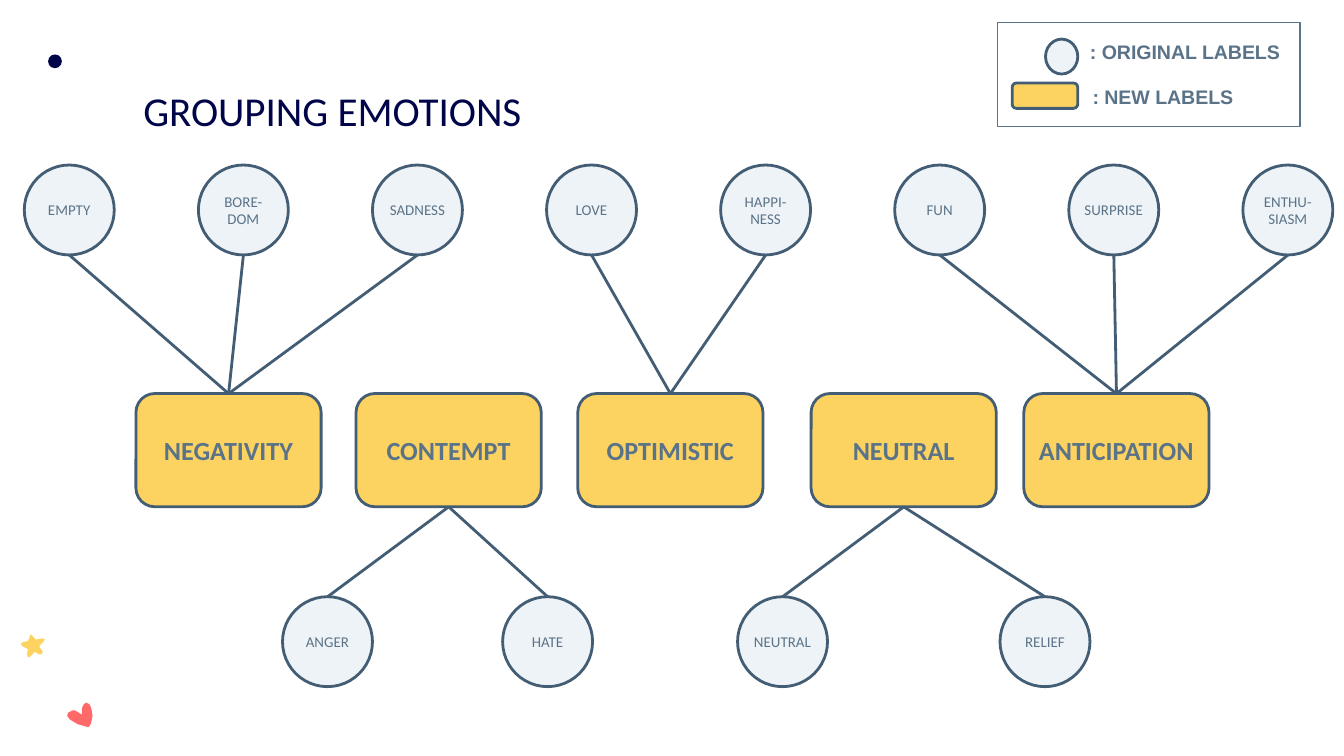
from lxml import etree
from pptx import Presentation
from pptx.dml.color import RGBColor
from pptx.enum.shapes import MSO_CONNECTOR, MSO_SHAPE
from pptx.enum.text import MSO_ANCHOR, PP_ALIGN
from pptx.oxml.ns import qn
from pptx.util import Cm, Pt

OVAL = MSO_SHAPE.OVAL
ROUNDED = MSO_SHAPE.ROUNDED_RECTANGLE
RECTANGLE = MSO_SHAPE.RECTANGLE
STRAIGHT = MSO_CONNECTOR.STRAIGHT
MIDDLE = MSO_ANCHOR.MIDDLE
LEFT, CENTER = PP_ALIGN.LEFT, PP_ALIGN.CENTER
TOP_SITE, BOTTOM_SITE = 0, 2

COLORS = {
    "navy": "000549", "outline": "435D74", "text": "5A7388",
    "pale": "EEF3F7", "yellow": "FCD260", "red": "FF6969",
}
CIRCLE = 1.7
GROUP_WIDTH, GROUP_HEIGHT = 3.5, 2.14
UPPER_TOP, GROUP_TOP, LOWER_TOP = 3.12, 7.44, 11.28
UPPER_LEFT, UPPER_PITCH = 0.46, 3.29

UPPER_LABELS = ["EMPTY", "BORE-DOM", "SADNESS", "LOVE", "HAPPI-NESS",
                "FUN", "SURPRISE", "ENTHU-SIASM"]
UPPER_EMOTIONS = [(label, UPPER_LEFT + UPPER_PITCH * index)
                  for index, label in enumerate(UPPER_LABELS)]
GROUPS = [
    ("NEGATIVITY", 2.57, UPPER_EMOTIONS[:3], []),
    ("CONTEMPT", 6.73, [], [("ANGER", 5.34), ("HATE", 9.5)]),
    ("OPTIMISTIC", 10.92, UPPER_EMOTIONS[3:5], []),
    ("NEUTRAL", 15.33, [], [("NEUTRAL", 13.94), ("RELIEF", 18.9)]),
    ("ANTICIPATION", 19.35, UPPER_EMOTIONS[5:], []),
]

HEART = [(36, 0), (31, 4), (28, 11), (28, 23), (15, 15), (10, 15), (2, 19),
         (0, 25), (5, 32), (20, 41), (38, 46), (41, 46), (45, 40), (48, 25),
         (46, 13), (43, 4)]
STAR = [(20, 0), (18, 5), (15, 13), (5, 15), (1, 19), (5, 23), (15, 28),
        (13, 38), (15, 43), (18, 43), (23, 38), (28, 33), (36, 38), (41, 38),
        (43, 33), (36, 23), (43, 15), (47, 10), (43, 8), (41, 8), (30, 10),
        (25, 5)]


def color(name):
    return RGBColor.from_string(COLORS[name])


def style_shape(shape, fill=None, line=None, width=1.5):
    shape.shadow.inherit = False
    if fill:
        shape.fill.solid()
        shape.fill.fore_color.rgb = color(fill)
    else:
        shape.fill.background()
    if line:
        shape.line.color.rgb = color(line)
        shape.line.width = Pt(width)
    else:
        shape.line.fill.background()


def write_text(shape, text, size, font="Calibri", bold=False, ink="text",
               align=CENTER, inset=0.25):
    frame = shape.text_frame
    frame.word_wrap = True
    frame.vertical_anchor = MIDDLE
    frame.margin_left = frame.margin_right = Cm(inset)
    frame.margin_top = frame.margin_bottom = Cm(inset / 2)
    paragraph = frame.paragraphs[0]
    paragraph.text = text
    paragraph.alignment = align
    paragraph.font.size = Pt(size)
    paragraph.font.name = font
    paragraph.font.bold = bold
    paragraph.font.color.rgb = color(ink)


def add_box(slide, kind, left, top, width, height, fill=None, line="outline",
            line_width=1.5):
    shape = slide.shapes.add_shape(kind, Cm(left), Cm(top), Cm(width), Cm(height))
    style_shape(shape, fill, line, line_width)
    return shape


def add_emotion(slide, label, left, top):
    circle = add_box(slide, OVAL, left, top, CIRCLE, CIRCLE, "pale")
    write_text(circle, label, 8, inset=0)
    return circle


def add_link(slide, group, site, circle):
    x = circle.left + circle.width // 2
    y = circle.top if site == BOTTOM_SITE else circle.top + circle.height
    link = slide.shapes.add_connector(STRAIGHT, x, y, x, y)
    link.begin_connect(group, site)
    link.line.color.rgb = color("outline")
    link.line.width = Pt(1.5)
    etree.SubElement(link._element.spPr, qn("a:effectLst"))


def add_group(slide, label, left, upper, lower):
    group = add_box(slide, ROUNDED, left, GROUP_TOP, GROUP_WIDTH, GROUP_HEIGHT, "yellow")
    write_text(group, label, 14, bold=True, inset=0.1)
    for emotions, top, site in ((upper, UPPER_TOP, TOP_SITE),
                                (lower, LOWER_TOP, BOTTOM_SITE)):
        for emotion, emotion_left in emotions:
            circle = add_emotion(slide, emotion, emotion_left, top)
            add_link(slide, group, site, circle)


def add_title(slide, left, top, width, height):
    title = slide.shapes.title
    title.left, title.top = Cm(left), Cm(top)
    title.width, title.height = Cm(width), Cm(height)
    write_text(title, "GROUPING EMOTIONS", 22, ink="navy", align=LEFT)


def add_legend(slide, left, top, width, height):
    add_box(slide, OVAL, left + 0.91, top + 0.31, 0.61, 0.66, "pale")
    add_box(slide, ROUNDED, left + 0.28, top + 1.14, 1.24, 0.48, "yellow")
    for text, x, y, text_width in ((": ORIGINAL LABELS", 1.5, 0.18, 4.83),
                                   (": NEW LABELS", 1.55, 1.03, 3.96)):
        label = slide.shapes.add_textbox(Cm(left + x), Cm(top + y),
                                         Cm(text_width), Cm(0.72))
        write_text(label, text, 10.5, "Arial", True, align=LEFT)
    add_box(slide, RECTANGLE, left, top, width, height, None, "text", 0.75)


def add_ornament(slide, points, left, top, fill):
    builder = slide.shapes.build_freeform(*points[0], scale=Cm(0.01))
    builder.add_line_segments(points[1:], close=True)
    style_shape(builder.convert_to_shape(Cm(left), Cm(top)), fill)


def main():
    presentation = Presentation()
    presentation.slide_width = Cm(25.4)
    presentation.slide_height = Cm(14.29)
    slide = presentation.slides.add_slide(presentation.slide_layouts[5])
    add_ornament(slide, HEART, 1.27, 13.28, "red")
    add_ornament(slide, STAR, 0.38, 11.99, "yellow")
    add_box(slide, OVAL, 0.91, 1.03, 0.26, 0.26, "navy", None)
    add_title(slide, 2.46, 1.3, 15.34, 1.55)
    for group in GROUPS:
        add_group(slide, *group)
    add_legend(slide, 18.85, 0.43, 5.72, 1.96)
    presentation.save("out.pptx")


if __name__ == "__main__":
    main()
